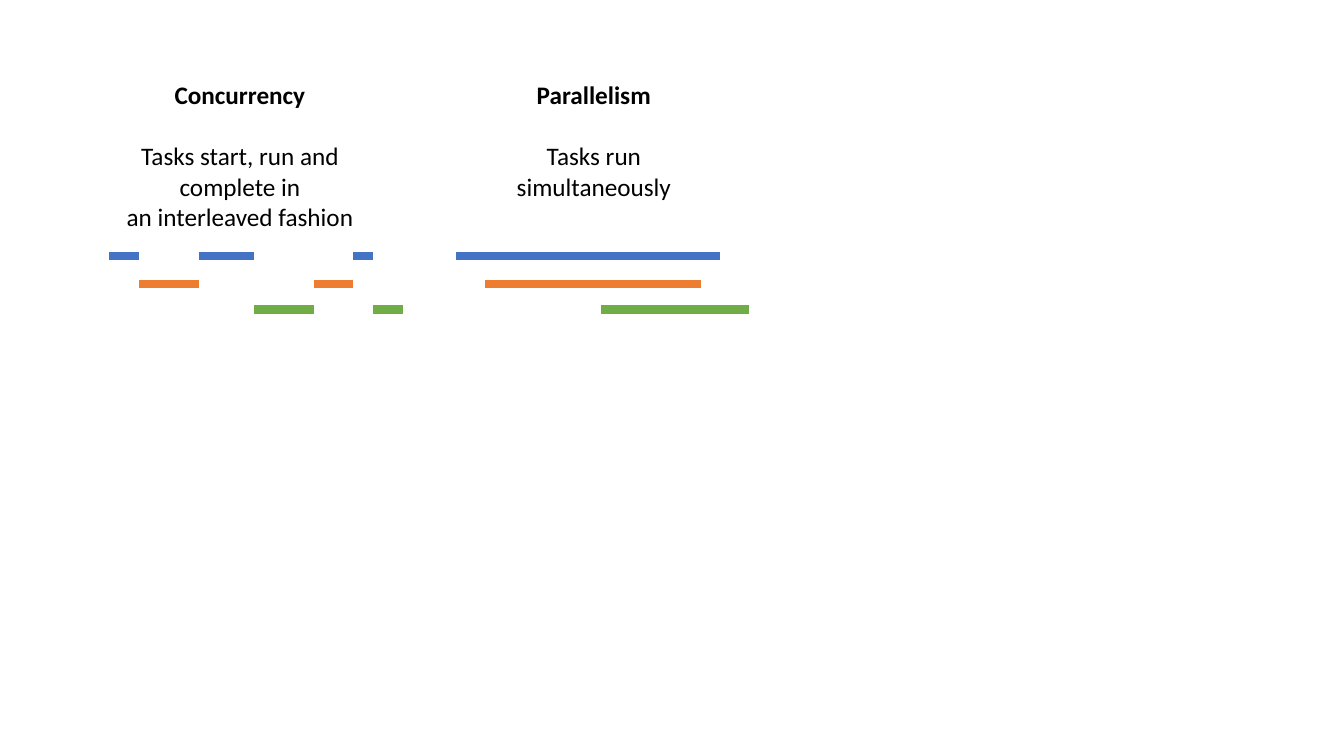
import pptx
import pptx.util
import pptx.dml.color
import pptx.enum.shapes
import pptx.enum.text
from lxml import etree

Inches = pptx.util.Inches
Pt = pptx.util.Pt
RGBColor = pptx.dml.color.RGBColor

BLACK = RGBColor(0x00, 0x00, 0x00)
BLUE = RGBColor(0x44, 0x72, 0xC4)
ORANGE = RGBColor(0xED, 0x7D, 0x31)
GREEN = RGBColor(0x70, 0xAD, 0x47)

deck = pptx.Presentation()
deck.slide_width = Inches(13.33)
deck.slide_height = Inches(7.5)
page = deck.slides.add_slide(deck.slide_layouts[6])

# Headings with their definitions: left, height, paragraphs
columns = [
    (1.08, 1.62, ["Concurrency", "Tasks start, run and complete in", "an interleaved fashion"]),
    (4.59, 1.31, ["Parallelism", "Tasks run simultaneously"]),
]
for left, height, lines in columns:
    box = page.shapes.add_textbox(Inches(left), Inches(0.74), Inches(2.6), Inches(height))
    frame = box.text_frame
    frame.word_wrap = True
    frame.auto_size = pptx.enum.text.MSO_AUTO_SIZE.SHAPE_TO_FIT_TEXT
    frame.text = "\n".join(lines)
    for para in frame.paragraphs:
        para.alignment = pptx.enum.text.PP_ALIGN.CENTER
        para.font.name = "Calibri"
        para.font.size = Pt(18)
        para.font.color.rgb = BLACK
    heading = frame.paragraphs[0]
    heading.font.bold = True
    heading.space_after = Pt(22)

# Task timelines: height on the page, colour, (start, end) of each run
tasks = [
    (2.54, BLUE, [(1.08, 1.38), (1.97, 2.52), (3.5, 3.7), (4.52, 7.14)]),
    (2.82, ORANGE, [(1.38, 1.97), (3.11, 3.5), (4.81, 6.95)]),
    (3.07, GREEN, [(2.52, 3.11), (3.7, 4.0), (5.96, 7.43)]),
]
for y, colour, runs in tasks:
    for start, end in runs:
        bar = page.shapes.add_connector(
            pptx.enum.shapes.MSO_CONNECTOR.STRAIGHT,
            Inches(start), Inches(y), Inches(end), Inches(y))
        bar.line.color.rgb = colour
        bar.line.width = Pt(6)
        etree.SubElement(bar._element.spPr, pptx.oxml.ns.qn("a:effectLst"))

deck.save("out.pptx")
